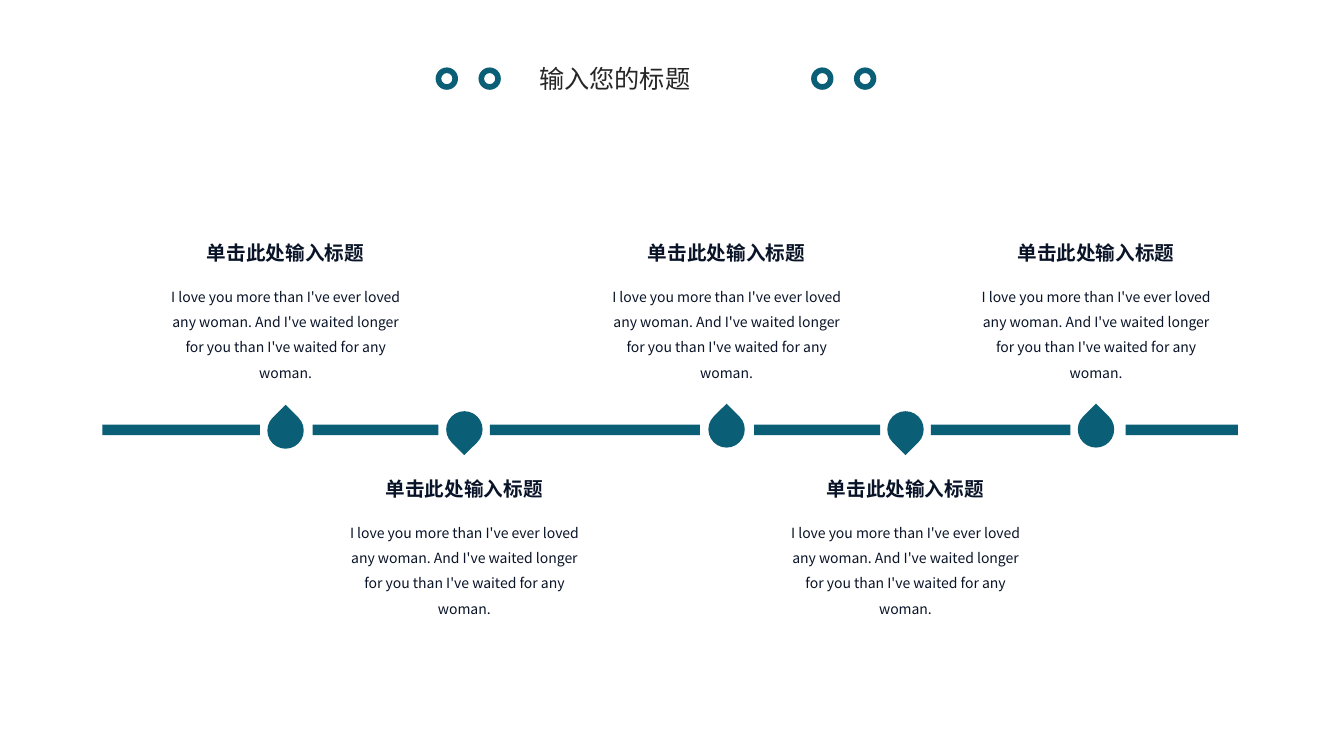
from typing import NamedTuple

from lxml.etree import SubElement
from pptx import Presentation
from pptx.dml.color import RGBColor
from pptx.enum.shapes import MSO_SHAPE
from pptx.enum.text import MSO_ANCHOR, MSO_AUTO_SIZE, PP_ALIGN
from pptx.oxml.ns import qn
from pptx.util import Pt

FONT = "Noto Sans CJK SC"
TEAL, NAVY, GREY = "0A5E75", "0A1428", "262626"
HEAD = "单击此处输入标题"
BODY = ("I love you more than I've ever loved any woman. "
        "And I've waited longer for you than I've waited for any woman.")
DROP, RING = 26, 16


class Box(NamedTuple):
    left: float
    top: float
    width: float
    height: float


class Stop(NamedTuple):
    mid: float
    drop_top: float
    above: bool


class Style(NamedTuple):
    size: float
    color: str
    bold: bool = False
    align: PP_ALIGN = PP_ALIGN.CENTER
    spacing: float = 1.0


HEAD_STYLE = Style(14, NAVY, bold=True)
BODY_STYLE = Style(10, NAVY, spacing=1.5)
TITLE_STYLE = Style(18, GREY, align=PP_ALIGN.JUSTIFY)

STOPS = [Stop(204, 294.5, True), Stop(331.7, 293.7, False),
         Stop(519, 293.7, True), Stop(646.8, 293.7, False),
         Stop(782.9, 293.7, True)]
BARS = [(73.2, 185.7), (223.3, 313.2), (350, 500),
        (538.6, 628.6), (665, 764.6), (804, 884.3)]
RINGS = [311.2, 341.8, 579.4, 610]


def rgb(code: str) -> RGBColor:
    return RGBColor.from_string(code)


def add_mark(slide, kind: MSO_SHAPE, box: Box, turn: float = 0) -> None:
    """Draw a plain teal shape."""
    mark = slide.shapes.add_shape(kind, *map(Pt, box))
    mark.rotation = turn
    mark.shadow.inherit = False
    mark.fill.solid()
    mark.fill.fore_color.rgb = rgb(TEAL)
    mark.line.fill.background()


def add_text(slide, box: Box, text: str, style: Style) -> None:
    frame = slide.shapes.add_textbox(*map(Pt, box)).text_frame
    layout = {"word_wrap": True, "auto_size": MSO_AUTO_SIZE.SHAPE_TO_FIT_TEXT,
              "vertical_anchor": MSO_ANCHOR.TOP}
    for name, value in layout.items():
        setattr(frame, name, value)
    para = frame.paragraphs[0]
    para.alignment = style.align
    para.line_spacing = style.spacing
    run = para.add_run()
    run.text = text
    face = {"name": FONT, "size": Pt(style.size), "bold": style.bold}
    for name, value in face.items():
        setattr(run.font, name, value)
    run.font.color.rgb = rgb(style.color)
    SubElement(run.font._element, qn("a:ea")).set("typeface", FONT)


def add_stop(slide, stop: Stop) -> None:
    """Draw a drop on the line, with its heading and body above or below."""
    drop = Box(stop.mid - DROP / 2, stop.drop_top, DROP, DROP)
    add_mark(slide, MSO_SHAPE.TEAR, drop, 315 if stop.above else 135)
    top = 168.5 if stop.above else 337
    add_text(slide, Box(stop.mid - 93.5, top + 28, 187, 80), BODY, BODY_STYLE)
    add_text(slide, Box(stop.mid - 74.5, top, 149, 24.5), HEAD, HEAD_STYLE)


def main() -> None:
    deck = Presentation()
    deck.slide_width, deck.slide_height = Pt(960), Pt(540)
    slide = deck.slides.add_slide(deck.slide_layouts[6])
    for start, end in BARS:
        add_mark(slide, MSO_SHAPE.RECTANGLE, Box(start, 303.4, end - start, 7.4))
    for stop in STOPS:
        add_stop(slide, stop)
    for left in RINGS:
        add_mark(slide, MSO_SHAPE.DONUT, Box(left, 48.2, RING, RING))
    add_text(slide, Box(378, 41.8, 173.5, 29), "输入您的标题", TITLE_STYLE)
    deck.save("out.pptx")


if __name__ == "__main__":
    main()
